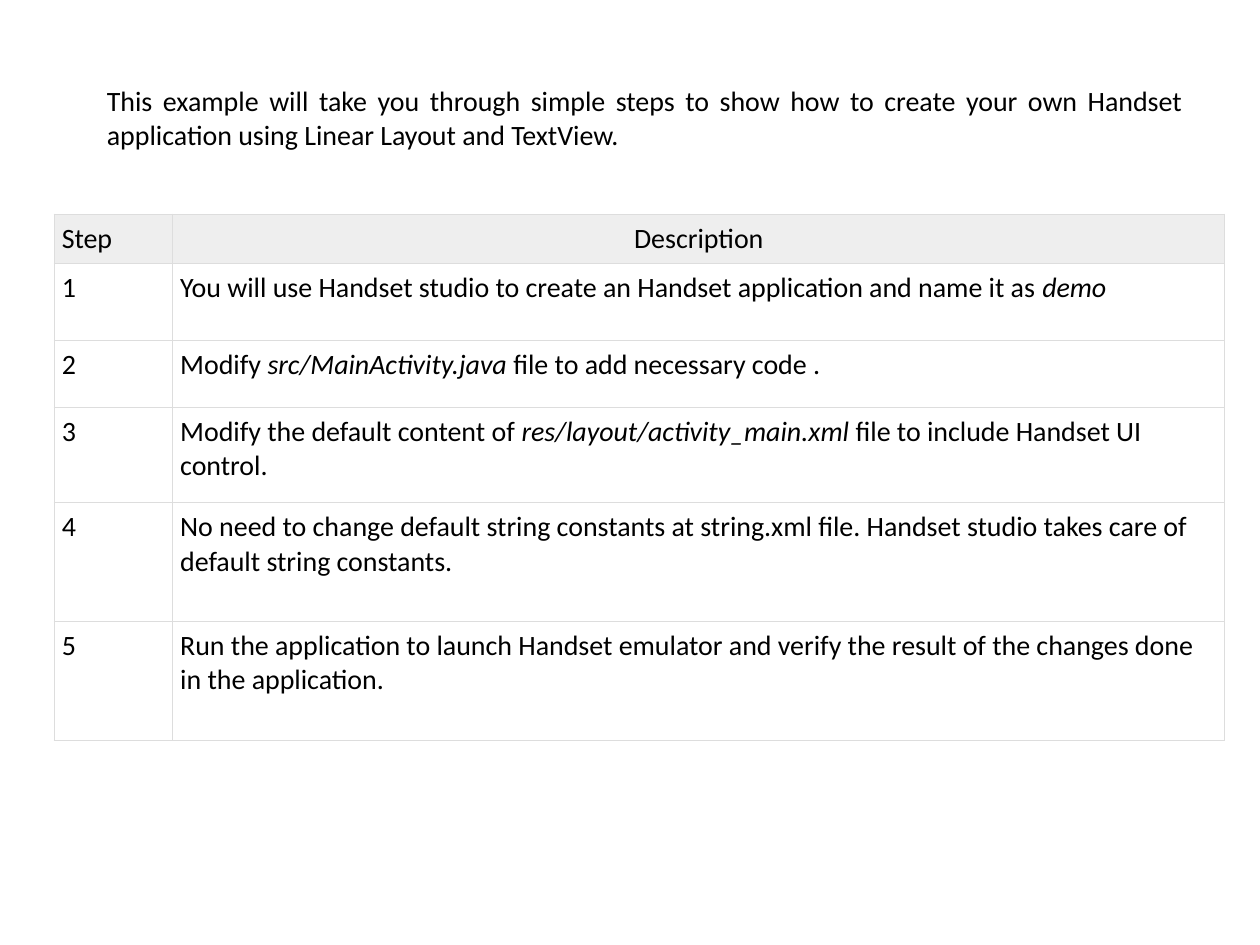
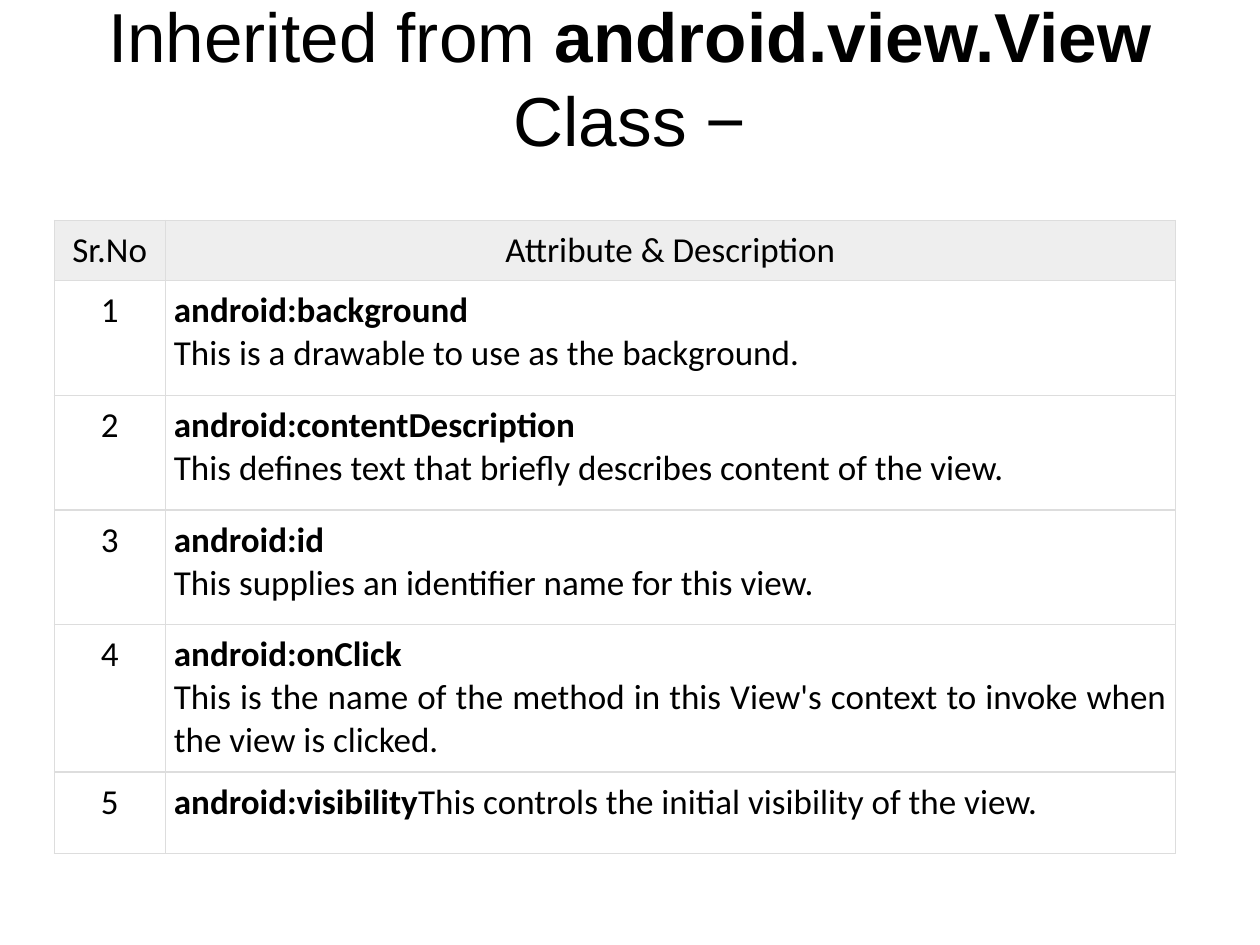
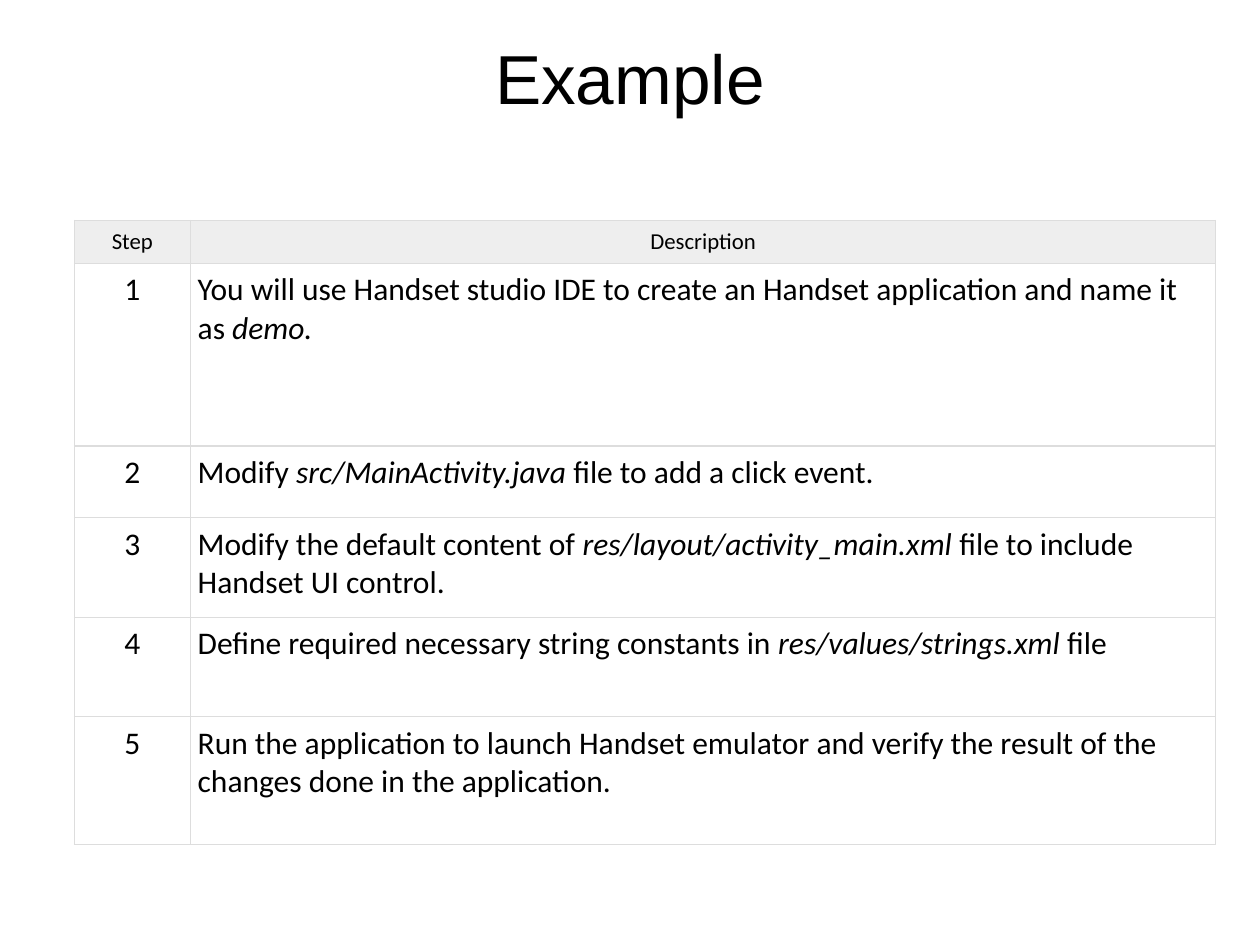
import pptx
import pptx.util
import pptx.dml.color
import pptx.enum.text
import pptx.oxml
import pptx.oxml.ns

Pt = pptx.util.Pt
ALIGN = pptx.enum.text.PP_ALIGN
LEFT, CENTER, JUSTIFY = ALIGN.LEFT, ALIGN.CENTER, ALIGN.JUSTIFY
MIDDLE = pptx.enum.text.MSO_ANCHOR.MIDDLE

BLACK = pptx.dml.color.RGBColor(0x00, 0x00, 0x00)
HEADER_GREY = pptx.dml.color.RGBColor(0xEE, 0xEE, 0xEE)
BORDER_GREY = pptx.dml.color.RGBColor(0xDD, 0xDD, 0xDD)

# Content: text between asterisks is emphasised, each line is a paragraph
SLIDES = [
    dict(
        intro="This example will take you through simple steps to show how to create "
              "your own Handset application using Linear Layout and TextView.",
        left=31, top=122.4, cols=[67.7, 601.2], inset=4.3,
        heights=[26.6, 43.9, 38.2, 54.7, 67.7, 68.4],
        header_size=16, size=16, key_align=LEFT, text_align=LEFT, emphasis="italic",
        header=("Step", "Description"),
        rows=[
            "You will use Handset studio to create an Handset application and name it as *demo *",
            "Modify *src/MainActivity.java* file to add necessary code .",
            "Modify the default content of *res/layout/activity_main.xml* file to include "
            "Handset UI control.",
            "No need to change default string constants at string.xml file. Handset studio "
            "takes care of default string constants.",
            "Run the application to launch Handset emulator and verify the result of the "
            "changes done in the application.",
        ],
    ),
    dict(
        title="Inherited from *android.view.View* Class −",
        left=31, top=126, cols=[63.4, 577.4], inset=5,
        heights=[28.8, 65.5, 65.5, 65.5, 84.2, 46.8],
        header_size=20, size=20, key_align=CENTER, text_align=JUSTIFY, emphasis="bold",
        header=("Sr.No", "Attribute & Description"),
        rows=[
            "*android:background*\nThis is a drawable to use as the background.",
            "*android:contentDescription*\n"
            "This defines text that briefly describes content of the view.",
            "*android:id*\nThis supplies an identifier name for this view.",
            "*android:onClick*\nThis is the name of the method in this View's context to "
            "invoke when the view is clicked.",
            "*android:visibility*This controls the initial visibility of the view.",
        ],
    ),
    dict(
        title="Example",
        left=42.5, top=126, cols=[66.2, 586.1], inset=4.3,
        heights=[24.5, 104.4, 41, 56.9, 56.9, 72.7],
        header_size=13, size=18, key_align=CENTER, text_align=LEFT, emphasis="italic",
        header=("Step", "Description"),
        rows=[
            "You will use Handset studio IDE to create an Handset application and name it "
            "as *demo.*",
            "Modify *src/MainActivity.java* file to add a click event.",
            "Modify the default content of *res/layout/activity_main.xml* file to include "
            "Handset UI control.",
            "Define required necessary string constants in *res/values/strings.xml* file",
            "Run the application to launch Handset emulator and verify the result of the "
            "changes done in the application.",
        ],
    ),
]


def write(tf, text, size=16, font="Calibri", align=LEFT, emphasis="bold"):
    """Fill a text frame, giving every second piece between asterisks the emphasis."""
    for i, line in enumerate(text.split("\n")):
        p = tf.add_paragraph() if i else tf.paragraphs[0]
        p.alignment = align
        for j, piece in enumerate(line.split("*")):
            if not piece:
                continue
            r = p.add_run()
            r.text = piece
            r.font.name, r.font.size = font, Pt(size)
            r.font.color.rgb = BLACK
            if j % 2:
                setattr(r.font, emphasis, True)


def add_borders(cell):
    tcPr = cell._tc.get_or_add_tcPr()
    for side in ("lnL", "lnR", "lnT", "lnB"):
        tcPr.append(pptx.oxml.parse_xml(
            f'<a:{side} {pptx.oxml.ns.nsdecls("a")} w="{Pt(0.75)}"><a:solidFill>'
            f'<a:srgbClr val="{BORDER_GREY}"/></a:solidFill></a:{side}>'))


def add_title(s, text):
    sp = s.shapes.title
    sp.left, sp.top, sp.width, sp.height = Pt(36), Pt(21.6), Pt(648), Pt(90)
    tf = sp.text_frame
    tf.auto_size = pptx.enum.text.MSO_AUTO_SIZE.NONE
    tf.word_wrap = True
    tf.vertical_anchor = MIDDLE
    tf.margin_bottom = Pt(49)  # lifts the title by half a line
    write(tf, text, size=39.6, font="Arial", align=CENTER)


def add_intro(s, text):
    tf = s.shapes.add_textbox(Pt(54), Pt(43.9), Pt(629.3), Pt(46.1)).text_frame
    tf.word_wrap = True
    tf.vertical_anchor = MIDDLE
    write(tf, text, align=JUSTIFY)


def add_steps(s, d):
    rows = [d["header"]] + [(str(n), text) for n, text in enumerate(d["rows"], 1)]
    table = s.shapes.add_table(len(rows), 2, Pt(d["left"]), Pt(d["top"]),
                               Pt(sum(d["cols"])), Pt(sum(d["heights"]))).table
    table.first_row = table.horz_banding = False
    for column, width in zip(table.columns, d["cols"]):
        column.width = Pt(width)
    for i, (row, height) in enumerate(zip(rows, d["heights"])):
        table.rows[i].height = Pt(height)
        for j, text in enumerate(row):
            cell = table.cell(i, j)
            cell.margin_left = cell.margin_right = Pt(d["inset"])
            cell.margin_top = cell.margin_bottom = Pt(d["inset"])
            add_borders(cell)
            if i == 0:
                cell.fill.solid()
                cell.fill.fore_color.rgb = HEADER_GREY
            else:
                cell.fill.background()
            # The key column keeps one alignment; the other centres its header
            align = d["key_align"] if j == 0 else d["text_align"] if i else CENTER
            write(cell.text_frame, text, size=d["size"] if i else d["header_size"],
                  align=align, emphasis=d["emphasis"])


def main():
    prs = pptx.Presentation()
    prs.slide_width, prs.slide_height = Pt(720), Pt(540)
    title_only, blank = prs.slide_layouts[5], prs.slide_layouts[6]
    for d in SLIDES:
        s = prs.slides.add_slide(title_only if "title" in d else blank)
        if "title" in d:
            add_title(s, d["title"])
        add_steps(s, d)
        if "intro" in d:
            add_intro(s, d["intro"])
    prs.save("out.pptx")


if __name__ == "__main__":
    main()
